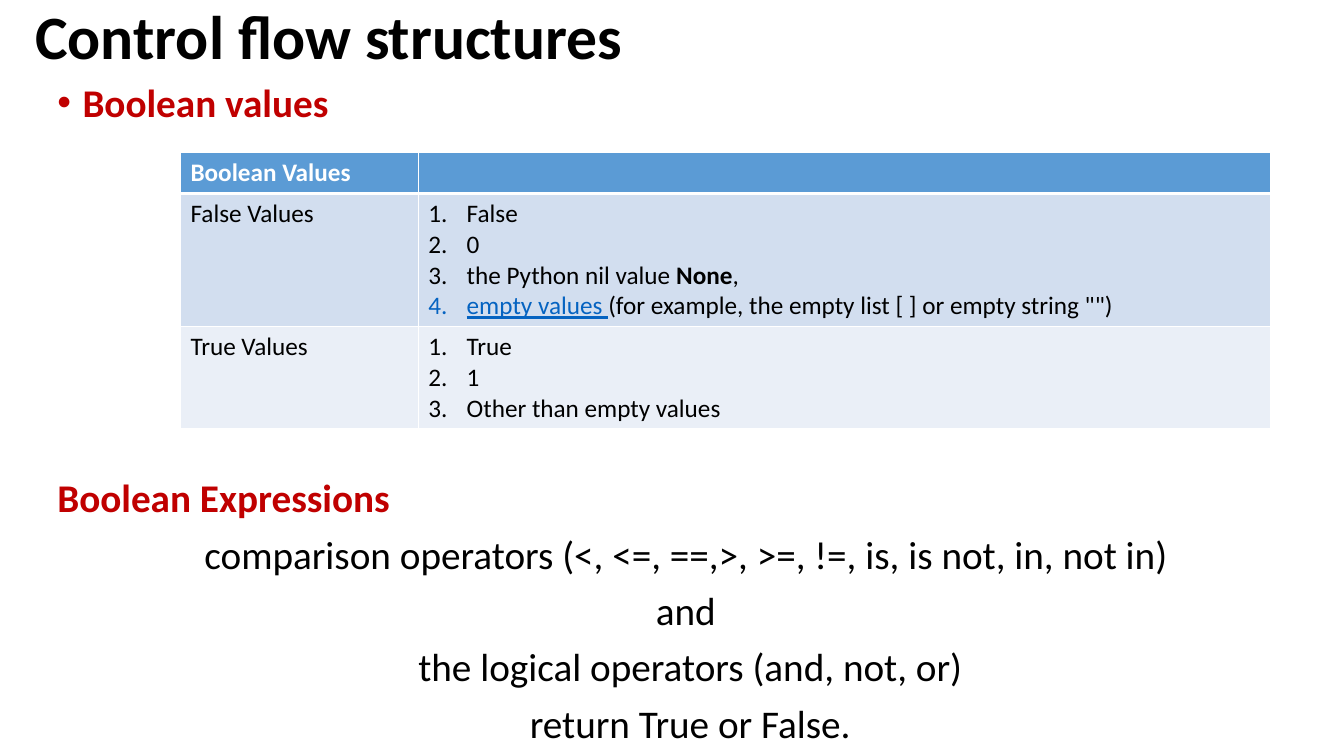
from lxml.etree import SubElement
from pptx import Presentation
from pptx.dml.color import RGBColor
from pptx.enum.text import MSO_ANCHOR, PP_ALIGN
from pptx.oxml.ns import qn
from pptx.util import Inches, Pt

BLACK = RGBColor(0x00, 0x00, 0x00)
WHITE = RGBColor(0xFF, 0xFF, 0xFF)
RED = RGBColor(0xC0, 0x00, 0x00)
LINK_BLUE = RGBColor(0x05, 0x63, 0xC1)
HEADER_BLUE = RGBColor(0x5B, 0x9B, 0xD5)
BAND_DARK = RGBColor(0xD2, 0xDE, 0xEF)
BAND_LIGHT = RGBColor(0xEA, 0xEF, 0xF7)

TITLE = {"size": Pt(44), "bold": True, "color": BLACK}
HEADING = {"size": Pt(28), "bold": True, "color": RED}
BODY = {"size": Pt(28), "bold": False, "color": BLACK}
TABLE_HEADER = {"size": Pt(18), "bold": True, "color": WHITE}
TABLE_TEXT = {"size": Pt(18), "bold": False, "color": BLACK}
LINK = {"color": LINK_BLUE, "underline": True}

TITLE_SPACING = {"line_spacing": 0.9}
BODY_SPACING = {"line_spacing": 0.9, "space_before": Pt(10)}
CENTERED = BODY_SPACING | {"alignment": PP_ALIGN.CENTER}

FALSE_VALUES = [
    ["False"],
    ["0"],
    ["the Python nil value ", ("None", {"bold": True}), ","],
    [("empty values ", LINK), '(for example, the empty list [ ] or empty string "")'],
]
TRUE_VALUES = [["True"], ["1"], ["Other than empty values"]]
EXPRESSION_LINES = [
    "comparison operators (<, <=, ==,>, >=, !=, is, is not, in, not in) ",
    "and ",
    "the logical operators (and, not, or)",
    "return True or False.",
]


class SlideBuilder:
    """Places elements by percentages of the slide's width and height."""

    def __init__(self, prs, font="Calibri"):
        self.prs = prs
        self.font = font
        self.s = prs.slides.add_slide(prs.slide_layouts[6])

    def x(self, share):
        return round(self.prs.slide_width * share / 100)

    def y(self, share):
        return round(self.prs.slide_height * share / 100)

    def text_box(self, left, top, width, height, anchor=MSO_ANCHOR.TOP):
        sp = self.s.shapes.add_textbox(
            self.x(left), self.y(top), self.x(width), self.y(height))
        tf = sp.text_frame
        tf.word_wrap = True
        tf.vertical_anchor = anchor
        return tf

    def paragraph(self, tf, runs, style, spacing=None):
        """Fill the first paragraph if it is still empty, else append one."""
        p = tf.paragraphs[-1]
        if p.runs:
            p = tf.add_paragraph()
        for name, value in (spacing or {}).items():
            setattr(p, name, value)
        for run in runs:
            text, changes = (run, {}) if isinstance(run, str) else run
            r = p.add_run()
            r.text = text
            r.font.name = self.font
            for name, value in (style | changes).items():
                if name == "color":
                    r.font.color.rgb = value
                else:
                    setattr(r.font, name, value)
        return p

    def bullet(self, p, indent, tag, **attributes):
        pPr = p._p.get_or_add_pPr()
        pPr.set("marL", str(Inches(indent)))
        pPr.set("indent", str(-Inches(indent)))
        SubElement(pPr, qn("a:buFont"), typeface="Arial" if tag == "buChar" else "+mj-lt")
        SubElement(pPr, qn(f"a:{tag}"), **attributes)

    def numbered_list(self, tf, items, style):
        for runs in items:
            p = self.paragraph(tf, runs, style)
            self.bullet(p, 0.38, "buAutoNum", type="arabicPeriod")

    def table(self, left, top, col_widths, row_heights):
        tbl = self.s.shapes.add_table(
            len(row_heights), len(col_widths), self.x(left), self.y(top),
            self.x(sum(col_widths)), self.y(sum(row_heights))).table
        for col, width in zip(tbl.columns, col_widths):
            col.width = self.x(width)
        for row, height in zip(tbl.rows, row_heights):
            row.height = self.y(height)
        return tbl

    def style_cell(self, cell, fill, top_line=1, bottom_line=1):
        tcPr = cell._tc.get_or_add_tcPr()
        for side, width in zip("LRTB", (1, 1, top_line, bottom_line)):
            ln = SubElement(tcPr, qn(f"a:ln{side}"), w=str(Pt(width)))
            SubElement(SubElement(ln, qn("a:solidFill")), qn("a:srgbClr"), val=str(WHITE))
        cell.fill.solid()
        cell.fill.fore_color.rgb = fill


def main():
    prs = Presentation()
    prs.slide_width, prs.slide_height = Inches(13.33), Inches(7.5)
    b = SlideBuilder(prs)

    tf = b.text_box(1.88, 0, 72.24, 10.4, MSO_ANCHOR.MIDDLE)
    b.paragraph(tf, ["Control flow structures"], TITLE, TITLE_SPACING)

    tf = b.text_box(3.53, 10.4, 95.65, 8)
    p = b.paragraph(tf, ["Boolean values"], HEADING, BODY_SPACING)
    b.bullet(p, 0.25, "buChar", char="•")

    tbl = b.table(13.43, 20.13, (17.7, 63.39), (5.47, 17.6, 13.47))
    b.paragraph(tbl.cell(0, 0).text_frame, ["Boolean Values"], TABLE_HEADER)
    for row, (label, items) in enumerate(
            [("False Values", FALSE_VALUES), ("True Values", TRUE_VALUES)], start=1):
        b.paragraph(tbl.cell(row, 0).text_frame, [label], TABLE_TEXT)
        b.numbered_list(tbl.cell(row, 1).text_frame, items, TABLE_TEXT)
    row_looks = [(HEADER_BLUE, 1, 3), (BAND_DARK, 3, 1), (BAND_LIGHT, 1, 1)]
    for row, look in zip(tbl.rows, row_looks):
        for cell in row.cells:
            b.style_cell(cell, *look)

    tf = b.text_box(3.53, 62.67, 95.65, 37.33)
    b.paragraph(tf, ["Boolean Expressions"], HEADING, BODY_SPACING)
    for line in EXPRESSION_LINES:
        b.paragraph(tf, [line], BODY, CENTERED)

    prs.save("out.pptx")


if __name__ == "__main__":
    main()
